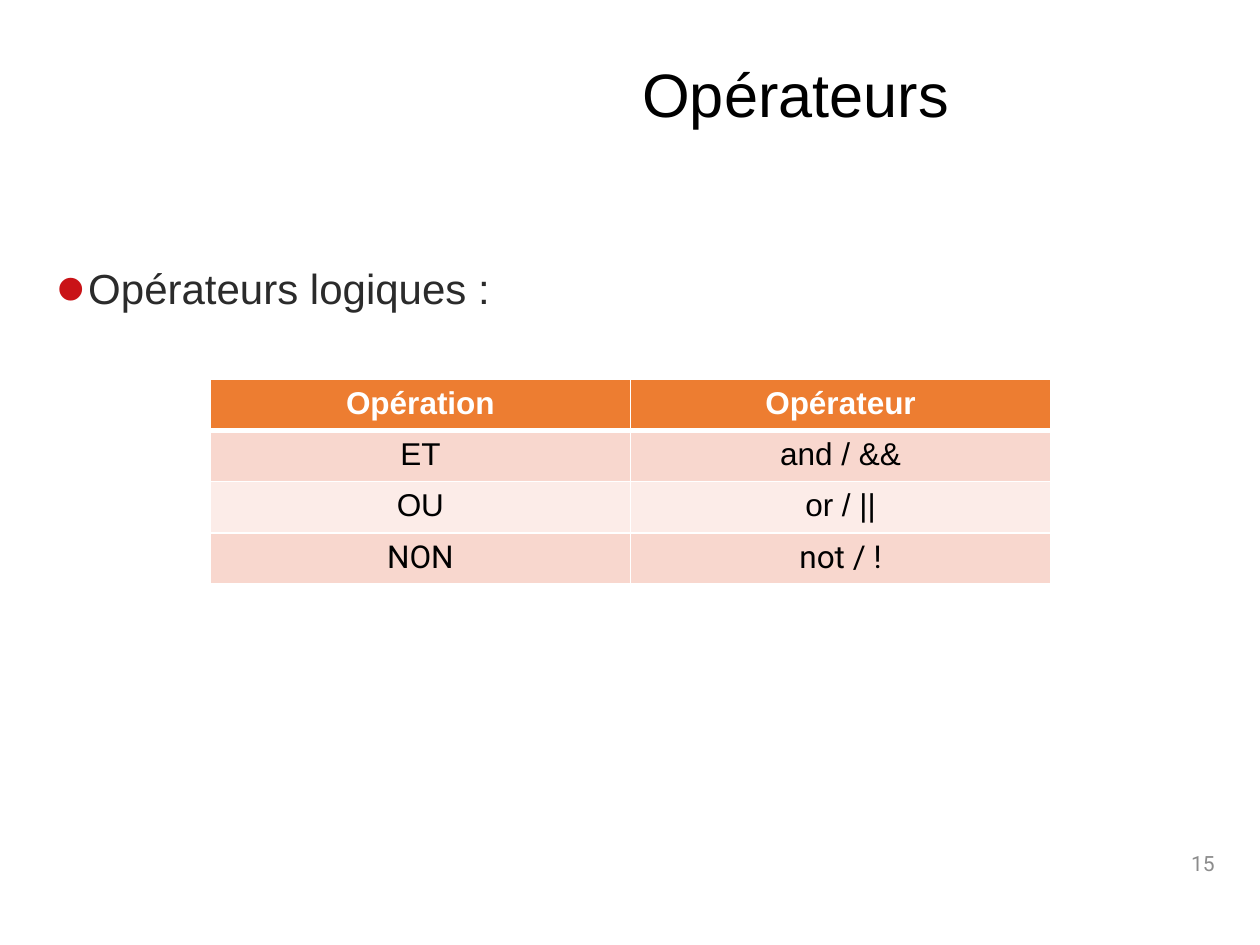
from pptx import Presentation
from pptx.util import Cm, Pt
from pptx.dml.color import RGBColor as RGB
from pptx.enum.text import MSO_ANCHOR as ANCHOR, PP_ALIGN as ALIGN
from pptx.oxml import parse_xml
from pptx.oxml.ns import nsdecls

COLORS = {
    "title": "000000", "body": "2B2B2B", "bullet": "C91317",
    "number": "8C8C8C", "header": "ED7D31", "odd": "F8D7CE",
    "even": "FCECE8", "white": "FFFFFF", "black": "000000",
}


def write(tf, text, size, font, color, bold=False, **para):
    p = tf.paragraphs[0]
    for name, value in para.items():
        setattr(p, name, value)
    r = p.add_run()
    r.text = text
    for name, value in {"size": Pt(size), "name": font, "bold": bold}.items():
        setattr(r.font, name, value)
    r.font.color.rgb = RGB.from_string(COLORS[color])
    return p


def add_text(box, anchor, *args, **para):
    tf = s.shapes.add_textbox(*(Cm(v) for v in box)).text_frame
    tf.word_wrap = True
    tf.vertical_anchor = anchor
    return write(tf, *args, **para)


prs = Presentation()
prs.slide_width, prs.slide_height = Cm(25.4), Cm(19.05)
s = prs.slides.add_slide(prs.slide_layouts[6])

# Bulleted body
p = add_text((0.89, 5.28, 23.72, 11.33), ANCHOR.TOP, "Opérateurs logiques :",
             24, "Arial", "body", line_spacing=0.9, space_before=Pt(10))
pPr = p._p.get_or_add_pPr()
pPr.set("marL", str(Cm(0.64)))
pPr.set("indent", str(-Cm(0.64)))
for xml in (
    f'<a:buClr {nsdecls("a")}><a:srgbClr val="{COLORS["bullet"]}"/></a:buClr>',
    f'<a:buSzPct {nsdecls("a")} val="200000"/>',
    f'<a:buFont {nsdecls("a")} typeface="Arial"/>',
    f'<a:buChar {nsdecls("a")} char="•"/>',
):
    pPr.append(parse_xml(xml))

# Title and slide number
add_text((12.7, 0.64, 11.91, 2.67), ANCHOR.MIDDLE, "Opérateurs",
         35, "Arial", "title", line_spacing=0.9)
add_text((19.02, 16.89, 5.72, 1.02), ANCHOR.MIDDLE, "15",
         12, "Roboto", "number", alignment=ALIGN.RIGHT)

# Operator table: text, font, text colour and fill of each row
rows = [
    (("Opération", "Opérateur"), "Arial", "white", "header"),
    (("ET", "and / &&"), "Arial", "black", "odd"),
    (("OU", "or / ||"), "Arial", "black", "even"),
    (("NON", "not / !"), "Roboto", "black", "odd"),
]
table = s.shapes.add_table(len(rows), 2, Cm(4.24), Cm(7.65),
                           Cm(16.94), Cm(4.12)).table
for i, (texts, font, color, fill) in enumerate(rows):
    # The rule under the header is thicker than the others
    widths = {"L": 1, "R": 1, "T": 3 if i == 1 else 1, "B": 3 if i == 0 else 1}
    for j, text in enumerate(texts):
        cell = table.cell(i, j)
        write(cell.text_frame, text, 18, font, color, bold=i == 0,
              alignment=ALIGN.CENTER)
        tcPr = cell._tc.get_or_add_tcPr()
        for side, width in widths.items():
            tcPr.append(parse_xml(
                f'<a:ln{side} {nsdecls("a")} w="{Pt(width)}"><a:solidFill>'
                f'<a:srgbClr val="{COLORS["white"]}"/></a:solidFill></a:ln{side}>'))
        cell.fill.solid()
        cell.fill.fore_color.rgb = RGB.from_string(COLORS[fill])

prs.save("out.pptx")
